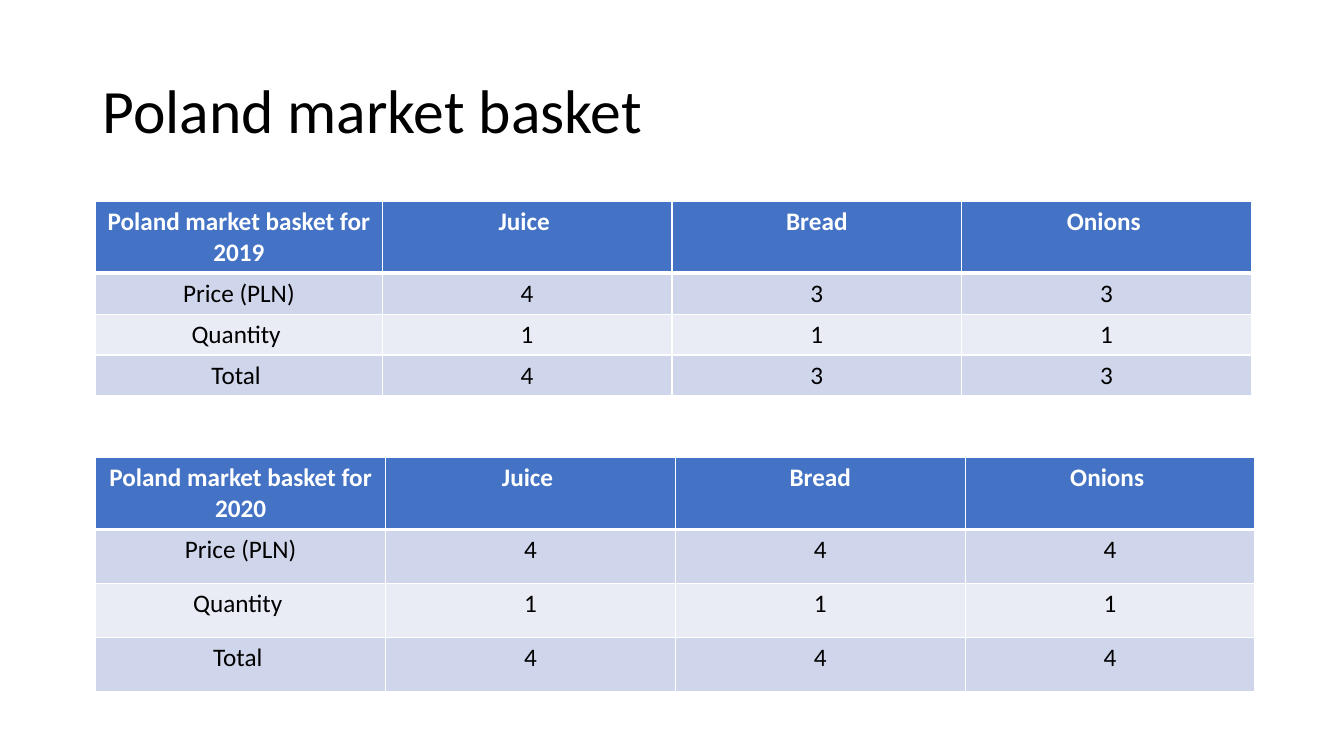
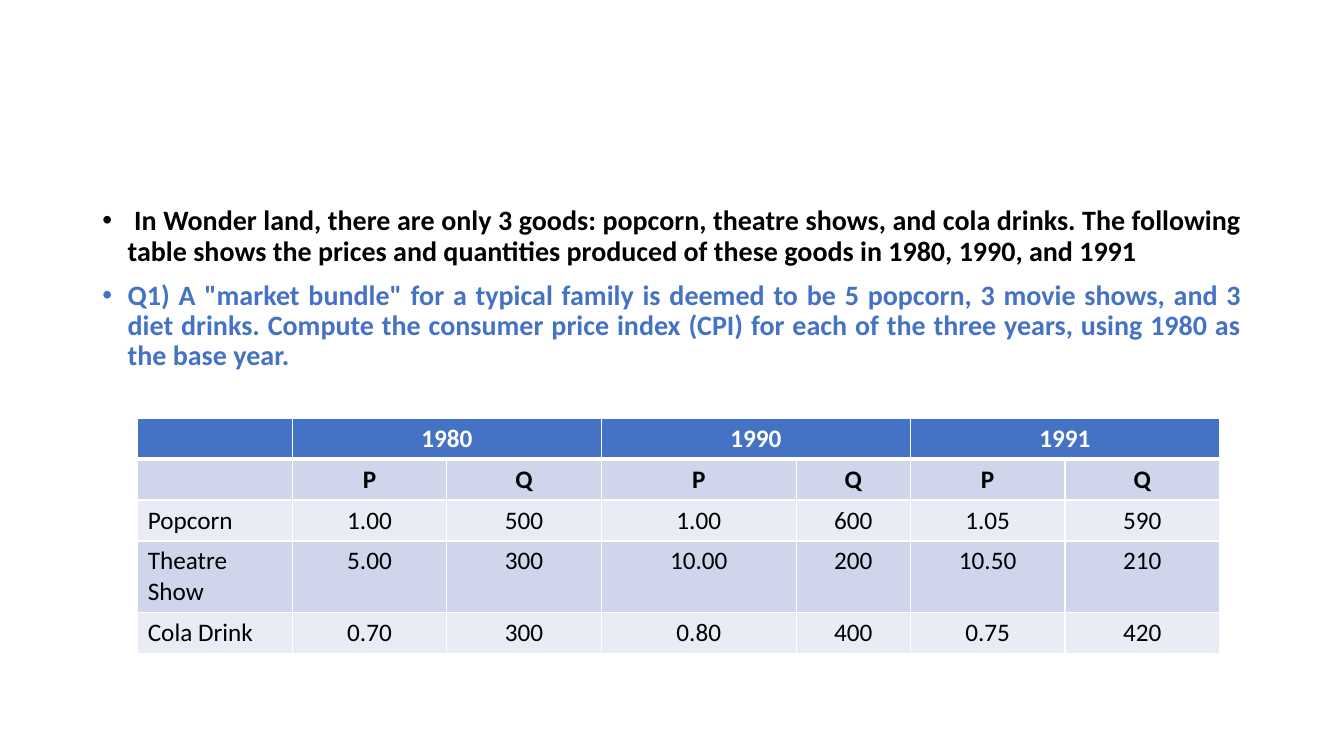
from dataclasses import dataclass
from lxml.etree import SubElement
from pptx import Presentation
from pptx.dml.color import RGBColor
from pptx.enum.text import MSO_ANCHOR, MSO_AUTO_SIZE, PP_ALIGN
from pptx.oxml import parse_xml
from pptx.oxml.ns import nsdecls, qn
from pptx.util import Inches, Pt

COLS, ROWS = 80, 45


@dataclass(frozen=True)
class Theme:
    font: str = "Calibri"
    ink: str = "000000"
    paper: str = "FFFFFF"
    blue: str = "4472C4"
    bands: tuple = ("CFD5EA", "E9EBF5")
    title: int = 44
    body: int = 20
    cell: int = 18
    thin: int = 1
    thick: int = 3


def apply(item, style):
    for key, value in style.items():
        setattr(item, key, value)


class Deck:
    def __init__(self, theme):
        self.theme = theme
        self.deck = Presentation()
        apply(self.deck, {"slide_width": Inches(13.333), "slide_height": Inches(7.5)})
        self.slide = None

    def col(self, count):
        return round(self.deck.slide_width * count / COLS)

    def row(self, count):
        return round(self.deck.slide_height * count / ROWS)

    def place(self, shape, left, top, width, height):
        apply(shape, {"left": self.col(left), "top": self.row(top),
                      "width": self.col(width), "height": self.row(height)})

    def label(self, para, text, size, color, bold=False, **style):
        apply(para, style)
        run = para.add_run()
        run.text = text
        apply(run.font, {"name": self.theme.font, "size": Pt(size), "bold": bold})
        run.font.color.rgb = RGBColor.from_string(color)

    def frame(self, shape, anchor):
        apply(shape.text_frame, {"word_wrap": True, "auto_size": MSO_AUTO_SIZE.NONE,
                                 "vertical_anchor": anchor})
        return shape.text_frame

    def title(self, text):
        self.slide = self.deck.slides.add_slide(self.deck.slide_layouts[5])
        shape = self.slide.shapes.title
        self.place(shape, 5.5, 2.4, 69, 8.7)
        frame = self.frame(shape, MSO_ANCHOR.MIDDLE)
        self.label(frame.paragraphs[0], text, self.theme.title, self.theme.ink,
                   alignment=PP_ALIGN.LEFT, line_spacing=0.9)

    def points(self, items):
        self.slide = self.deck.slides.add_slide(self.deck.slide_layouts[1])
        head = self.slide.shapes.title.element
        head.getparent().remove(head)
        shape = self.slide.placeholders[1]
        self.place(shape, 5.5, 12, 69, 28.5)
        frame = self.frame(shape, MSO_ANCHOR.TOP)
        for index, (text, color) in enumerate(items):
            para = frame.add_paragraph() if index else frame.paragraphs[0]
            self.label(para, text, self.theme.body, color, True,
                       alignment=PP_ALIGN.JUSTIFY, line_spacing=0.9,
                       space_before=Pt(10))
            props = para._p.get_or_add_pPr()
            props.set("marL", str(Inches(0.25)))
            props.set("indent", str(-Inches(0.25)))
            SubElement(props, qn("a:buFont")).set("typeface", "Arial")
            SubElement(props, qn("a:buChar")).set("char", "•")

    def edges(self, cell, row):
        theme = self.theme
        widths = {"L": theme.thin, "R": theme.thin,
                  "T": theme.thick if row == 1 else theme.thin,
                  "B": theme.thin if row else theme.thick}
        props = cell._tc.get_or_add_tcPr()
        for index, (side, width) in enumerate(widths.items()):
            props.insert(index, parse_xml(
                f'<a:ln{side} {nsdecls("a")} w="{Pt(width)}"><a:solidFill>'
                f'<a:srgbClr val="{theme.paper}"/></a:solidFill></a:ln{side}>'))

    def table(self, left, top, wide, tall, data, bold=1, flush=False, spans=()):
        theme = self.theme
        shape = self.slide.shapes.add_table(
            len(tall), len(wide), self.col(left), self.row(top),
            self.col(sum(wide)), self.row(sum(tall)))
        grid = shape.table
        apply(grid, {"first_row": False, "horz_banding": False})
        for column, width in zip(grid.columns, wide):
            column.width = self.col(width)
        for line, height in zip(grid.rows, tall):
            line.height = self.row(height)
        for row, line in enumerate(data):
            fill = theme.bands[(row - 1) % 2] if row else theme.blue
            for col, text in enumerate(line):
                cell = grid.cell(row, col)
                cell.fill.solid()
                cell.fill.fore_color.rgb = RGBColor.from_string(fill)
                self.edges(cell, row)
                if text:
                    side = PP_ALIGN.LEFT if flush and not col else PP_ALIGN.CENTER
                    self.label(cell.text_frame.paragraphs[0], text, theme.cell,
                               theme.ink if row else theme.paper,
                               row < bold, alignment=side)
        for start in spans:
            grid.cell(0, start).merge(grid.cell(0, start + 1))


def basket(year, prices):
    return [[f"Poland market basket for {year}", "Juice ", "Bread", "Onions "],
            ["Price (PLN)", *prices],
            ["Quantity ", *"111"],
            ["Total ", *prices]]


def main():
    theme = Theme()
    deck = Deck(theme)
    line, double = 2.43, 4.2

    deck.title("Poland market basket")
    deck.table(5.7, 12, [17.05] + [17.25] * 3, [double] + [line] * 3,
               basket(2019, "433"))
    deck.table(5.7, 27.25, [17.25] * 4, [double] + [3.22] * 3,
               basket(2020, "444"))

    deck.points([
        (" In Wonder land, there are only 3 goods: popcorn, theatre shows, and "
         "cola drinks. The following table shows the prices and quantities "
         "produced of these goods in 1980, 1990, and 1991", theme.ink),
        ('Q1) A "market bundle" for a typical family is deemed to be 5 popcorn, '
         "3 movie shows, and 3 diet drinks. Compute the consumer price index "
         "(CPI) for each of the three years, using 1980 as the base year. ",
         theme.blue)])
    goods = [
        ["", "1980", "", "1990", "", "1991", ""],
        ["", *"PQPQPQ"],
        ["Popcorn", "1.00", "500", "1.00", "600", "1.05", "590"],
        ["Theatre Show", "5.00", "300", "10.00", "200", "10.50", "210"],
        ["Cola Drink", "0.70", "300", "0.80", "400", "0.75", "420"]]
    deck.table(8.2, 24.9, [9.2] * 3 + [11.6, 6.8] + [9.2] * 2,
               [line] * 3 + [double, line], goods, bold=2, flush=True,
               spans=(1, 3, 5))
    deck.deck.save("out.pptx")


if __name__ == "__main__":
    main()
